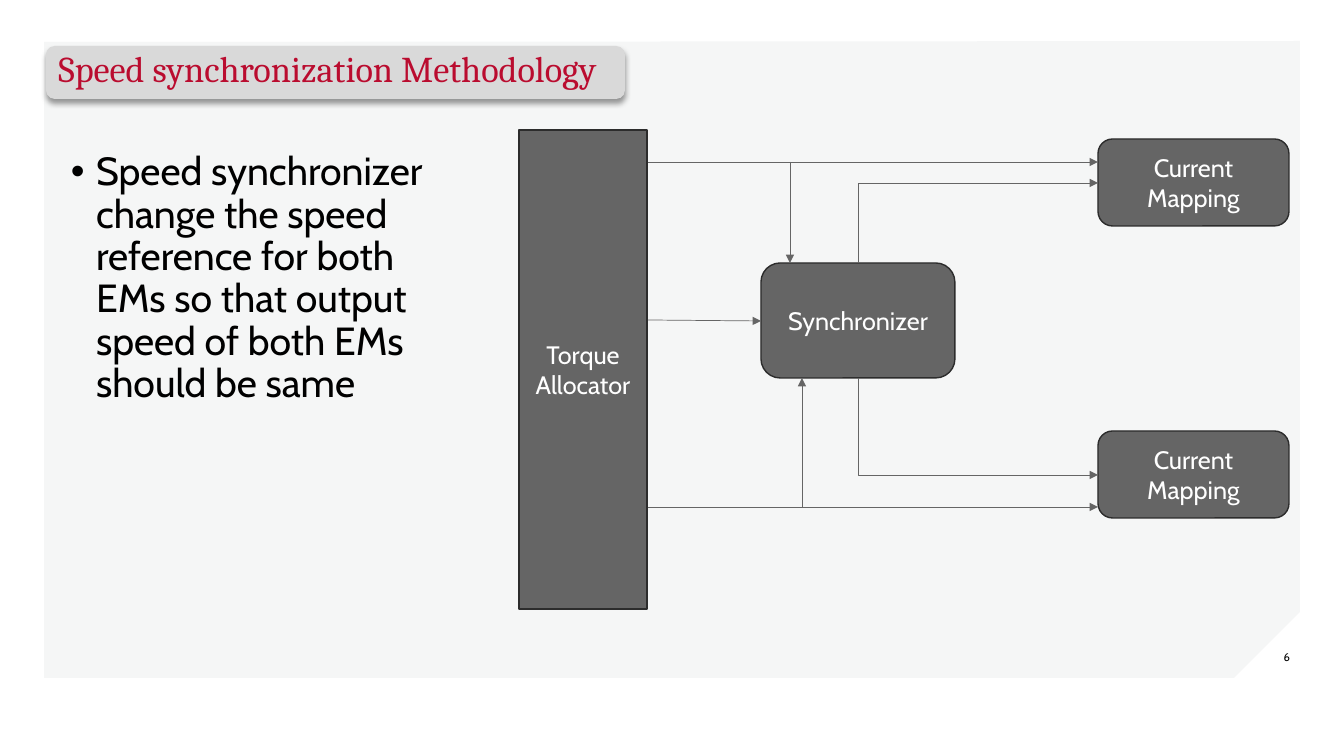
"""Build the speed synchronization methodology slide."""
import pptx
import pptx.util
import pptx.dml.color
import pptx.enum.shapes
import pptx.enum.text
import pptx.oxml
import pptx.oxml.ns

SCALE = 914400 / 100.8
COLORS = {"panel": "A2AAAD", "title_bar": "D9D9D9", "title": "BA0C2F", "block": "656565",
          "edge": "2C2C2C", "white": "FFFFFF", "black": "000000"}
TITLE = ("Speed synchronization Methodology", (46, 46, 579, 53))
BODY = ("Speed synchronizer change the speed reference for both EMs so that "
        "output speed of both EMs should be same", (61, 147, 417, 443))
NUMBER = ("6", (1246, 637, 54, 40))
PANEL = [(44, 42), (44, 678), (1234, 678), (1300, 612), (1300, 41)]
BLOCKS = [
    ("Current Mapping", "ROUNDED_RECTANGLE", (1098, 139, 191, 87)),
    ("Current Mapping", "ROUNDED_RECTANGLE", (1098, 431, 191, 87)),
    ("Torque Allocator", "RECTANGLE", (519, 130, 128, 479)),
    ("Synchronizer", "ROUNDED_RECTANGLE", (761, 263, 194, 115)),
]
STRAIGHT_ARROWS = [
    ((648, 162), (1098, 162)),
    ((648, 507), (1098, 507)),
    ((648, 320), (761, 321)),
    ((790, 162), (790, 263)),
    ((802, 507), (802, 378)),
]
BENT_ARROWS = [((858, 263), (1098, 183)), ((858, 378), (1098, 475))]

MIDDLE = pptx.enum.text.MSO_ANCHOR.MIDDLE
ALIGN = pptx.enum.text.PP_ALIGN
SHAPES = pptx.enum.shapes.MSO_SHAPE
STRAIGHT = pptx.enum.shapes.MSO_CONNECTOR.STRAIGHT
ELBOW = pptx.enum.shapes.MSO_CONNECTOR.ELBOW


def px(length):
    return pptx.util.Emu(round(length * SCALE))


def rgb(name):
    return pptx.dml.color.RGBColor.from_string(COLORS[name])


def add_xml(parent, markup):
    namespace = pptx.oxml.ns.nsdecls("a")
    parent.append(pptx.oxml.parse_xml(markup.replace(" ", f" {namespace} ", 1)))


def paint(shape, fill, edge=None):
    shape.shadow.inherit = False
    shape.fill.solid()
    shape.fill.fore_color.rgb = rgb(fill)
    if edge:
        shape.line.color.rgb = rgb(edge)
        shape.line.width = pptx.util.Pt(1)
    else:
        shape.line.fill.background()


def write(box, text, size, color, font="Cabin", align=ALIGN.LEFT, anchor=MIDDLE):
    frame = box.text_frame
    frame.text = text
    frame.word_wrap = True
    frame.vertical_anchor = anchor
    para = frame.paragraphs[0]
    para.alignment = align
    span = para.runs[0]
    span.font.size = pptx.util.Pt(size)
    span.font.name = font
    span.font.color.rgb = rgb(color)
    return para


def add_shape(page, kind, place):
    return page.shapes.add_shape(getattr(SHAPES, kind), *map(px, place))


def add_panel(page):
    builder = page.shapes.build_freeform(*PANEL[0], scale=SCALE)
    builder.add_line_segments(PANEL[1:], close=True)
    panel = builder.convert_to_shape()
    paint(panel, "panel")
    color = panel.fill._xPr.find(".//" + pptx.oxml.ns.qn("a:srgbClr"))
    add_xml(color, '<a:alpha val="10000"/>')


def add_title(page):
    text, place = TITLE
    bar = add_shape(page, "ROUNDED_RECTANGLE", place)
    paint(bar, "title_bar")
    effects = bar._element.spPr.find(pptx.oxml.ns.qn("a:effectLst"))
    add_xml(effects, '<a:outerShdw blurRad="50800" dist="38100" dir="5400000" rotWithShape="0">'
                     f'<a:srgbClr val="{COLORS["black"]}"><a:alpha val="40000"/></a:srgbClr>'
                     '</a:outerShdw>')
    write(bar, text, 25.9, "title", "Cambria").line_spacing = 0.8


def add_body(page):
    text, place = BODY
    box = page.shapes.add_textbox(*map(px, place))
    para = write(box, text, 28, "black", anchor=pptx.enum.text.MSO_ANCHOR.TOP)
    para.line_spacing = 0.9
    properties = para._p.get_or_add_pPr()
    properties.set("marL", "228600")
    properties.set("indent", "-228600")
    add_xml(properties, '<a:buFont typeface="Arial"/>')
    add_xml(properties, '<a:buChar char="•"/>')


def add_arrow(page, kind, start, end):
    arrow = page.shapes.add_connector(kind, *map(px, start + end))
    arrow.line.color.rgb = rgb("block")
    arrow.line.width = pptx.util.Pt(0.5)
    add_xml(arrow.line._get_or_add_ln(), '<a:tailEnd type="triangle"/>')
    add_xml(arrow._element.spPr, '<a:effectLst />')
    return arrow


def add_bent_arrow(page, start, end):
    """Turn a two-segment elbow so it leaves vertically and arrives horizontally."""
    (left, top), (right, bottom) = start, end
    middle_x, middle_y = (left + right) / 2, (top + bottom) / 2
    half_rise = abs(bottom - top) / 2
    upward = bottom < top
    half_run = (right - left) / 2 * (1 if upward else -1)
    arrow = add_arrow(page, ELBOW, (middle_x + half_rise, middle_y + half_run),
                      (middle_x - half_rise, middle_y - half_run))
    properties = arrow._element.spPr
    properties.find(pptx.oxml.ns.qn("a:prstGeom")).set("prst", "bentConnector2")
    properties.find(pptx.oxml.ns.qn("a:xfrm")).set("rot", str((90 if upward else 270) * 60000))


def main():
    deck = pptx.Presentation()
    deck.slide_width, deck.slide_height = px(1344), px(756)
    page = deck.slides.add_slide(deck.slide_layouts[6])
    add_panel(page)
    text, place = NUMBER
    write(page.shapes.add_textbox(*map(px, place)), text, 8, "black", align=ALIGN.RIGHT)
    add_title(page)
    add_body(page)
    for text, kind, place in BLOCKS:
        block = add_shape(page, kind, place)
        paint(block, "block", "edge")
        write(block, text, 18, "white", align=ALIGN.CENTER)
    for start, end in STRAIGHT_ARROWS:
        add_arrow(page, STRAIGHT, start, end)
    for start, end in BENT_ARROWS:
        add_bent_arrow(page, start, end)
    deck.save("out.pptx")


if __name__ == "__main__":
    main()
